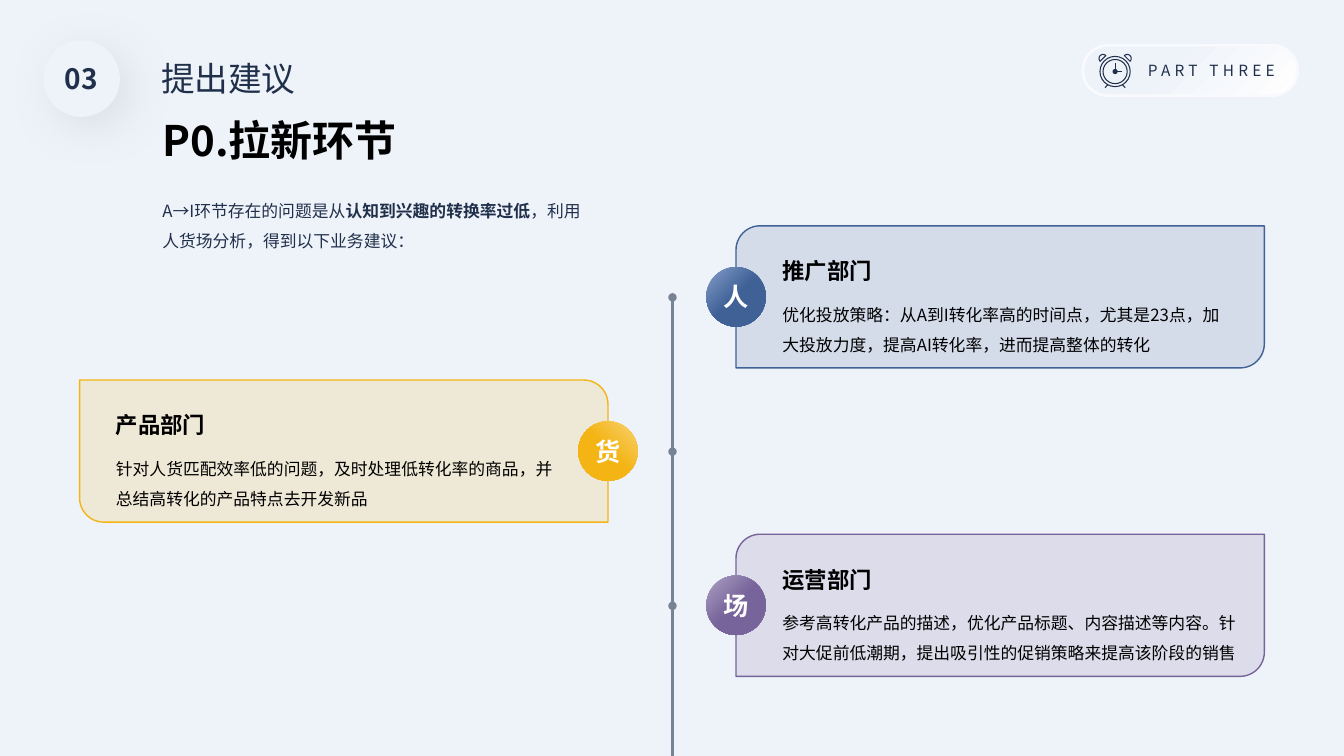
import math

import pptx
import pptx.dml.color
import pptx.enum.shapes
import pptx.enum.text
import pptx.oxml
import pptx.oxml.ns
import pptx.util
from pptx.util import Inches

COLORS = {
    "page": "EEF2F9", "ink": "20304B", "black": "000000", "white": "FFFFFF",
    "pill_edge": "F8FAFD", "shadow": "CACED4", "axis": "768394",
    "blue": "406196", "light_blue": "839ECA",
    "gold": "F4B414", "light_gold": "F8D272",
    "purple": "77649B", "light_purple": "ADA2C3",
}
RGB = {name: pptx.dml.color.RGBColor.from_string(value) for name, value in COLORS.items()}
FONT = "Noto Sans CJK SC"
NAMESPACE = pptx.oxml.ns.nsdecls("a")
SHAPE = pptx.enum.shapes.MSO_SHAPE
STRAIGHT = pptx.enum.shapes.MSO_CONNECTOR.STRAIGHT
ALIGN = pptx.enum.text.PP_ALIGN
ANCHOR = pptx.enum.text.MSO_ANCHOR
GROW = pptx.enum.text.MSO_AUTO_SIZE.SHAPE_TO_FIT_TEXT

deck = pptx.Presentation()
deck.slide_width, deck.slide_height = Inches(13.33), Inches(7.5)
page = deck.slides.add_slide(deck.slide_layouts[6])
page.background.fill.solid()
page.background.fill.fore_color.rgb = RGB["page"]


def write(box, spans, size, color, inset=(0.12, 0.12), align=ALIGN.LEFT,
          spacing=1.0, tracking=0, **frame_format):
    """Fill a box with one paragraph of (text, bold) spans."""
    frame = box.text_frame
    frame_format = {
        "word_wrap": True, "vertical_anchor": ANCHOR.TOP,
        "margin_left": Inches(inset[0]), "margin_right": Inches(inset[0]),
        "margin_top": Inches(inset[1]), "margin_bottom": Inches(inset[1]),
    } | frame_format
    for name, value in frame_format.items():
        setattr(frame, name, value)
    para = frame.paragraphs[0]
    para.alignment, para.line_spacing = align, spacing
    for text, bold in spans:
        span = para.add_run()
        span.text = text
        span.font.color.rgb = RGB[color]
        for name, value in {"name": FONT, "size": pptx.util.Pt(size), "bold": bold}.items():
            setattr(span.font, name, value)
        properties = span.font._element
        properties.append(pptx.oxml.parse_xml(f'<a:ea {NAMESPACE} typeface="{FONT}"/>'))
        if tracking:
            properties.set("spc", str(tracking * 100))


def draw_line(start, end, color, width):
    """Add a straight line between two points given in inches."""
    line = page.shapes.add_connector(STRAIGHT, *map(Inches, start + end))
    line.line.color.rgb = RGB[color]
    line.line.width = pptx.util.Pt(width)
    line._element.spPr.append(pptx.oxml.parse_xml(f"<a:effectLst {NAMESPACE}/>"))
    return line


# Part label at the top right
pill = page.shapes.add_shape(SHAPE.ROUNDED_RECTANGLE, Inches(10.74), Inches(0.45), Inches(2.13), Inches(0.5))
pill.shadow.inherit = False
pill.adjustments[0] = 0.5
pill.fill.gradient()
pill.fill.gradient_angle = 315
for stop, (color, position) in zip(pill.fill.gradient_stops, [("page", 0.35), ("white", 1)]):
    stop.color.rgb, stop.position = RGB[color], position
pill.line.color.rgb = RGB["pill_edge"]
pill.line.width = pptx.util.Pt(2)
label = page.shapes.add_textbox(Inches(11.22), Inches(0.56), Inches(1.59), Inches(0.29))
write(label, [("PART THREE", False)], 11, "ink", inset=(0.1, 0.05), align=ALIGN.CENTER,
      tracking=3, auto_size=GROW)

# Alarm clock: rings and hub, hands and legs, bells
clock_x, clock_y = 11.06, 0.71
for radius, filled in [(0.15, False), (0.12, False), (0.02, True)]:
    ring = page.shapes.add_shape(SHAPE.OVAL, Inches(clock_x - radius), Inches(clock_y - radius),
                                 Inches(2 * radius), Inches(2 * radius))
    ring.shadow.inherit = False
    ring.fill.background()
    if filled:
        ring.fill.solid()
        ring.fill.fore_color.rgb = RGB["ink"]
    ring.line.color.rgb = RGB["ink"]
    ring.line.width = pptx.util.Pt(0.75)
for x1, y1, x2, y2 in [(0, -0.08, 0, 0), (0, 0, 0.07, 0), (-0.07, 0.13, -0.1, 0.16), (0.07, 0.13, 0.1, 0.16)]:
    draw_line((clock_x + x1, clock_y + y1), (clock_x + x2, clock_y + y2), "ink", 0.75)
for side, first_angle in [(-1, 135), (1, 225)]:
    angles = [math.radians(first_angle + step) for step in range(0, 181, 15)]
    points = [(Inches(clock_x + side * 0.12 + 0.04 * math.cos(angle)),
               Inches(clock_y - 0.13 + 0.04 * math.sin(angle))) for angle in angles]
    outline = page.shapes.build_freeform(*points[0], scale=1.0)
    outline.add_line_segments(points[1:], close=True)
    bell = outline.convert_to_shape()
    bell.shadow.inherit = False
    bell.fill.background()
    bell.line.color.rgb = RGB["ink"]
    bell.line.width = pptx.util.Pt(0.75)

# Section number and headings
disc = page.shapes.add_shape(SHAPE.OVAL, Inches(0.43), Inches(0.4), Inches(0.76), Inches(0.76))
disc.shadow.inherit = False
disc.fill.solid()
disc.fill.fore_color.rgb = RGB["page"]
disc.line.fill.background()
disc._element.spPr.find(pptx.oxml.ns.qn("a:effectLst")).append(pptx.oxml.parse_xml(
    f'<a:outerShdw {NAMESPACE} blurRad="381000" dist="127000" dir="2700000" algn="tl" rotWithShape="0">'
    f'<a:srgbClr val="{COLORS["shadow"]}"><a:alpha val="50000"/></a:srgbClr></a:outerShdw>'))
number = page.shapes.add_textbox(Inches(0.63), Inches(0.56), Inches(0.35), Inches(0.44))
write(number, [("03", True)], 20, "ink", inset=(0, 0.05), align=ALIGN.CENTER,
      word_wrap=False, auto_size=GROW)
section = page.shapes.add_textbox(Inches(1.5), Inches(0.53), Inches(4.47), Inches(0.5))
write(section, [("提出建议", False)], 24, "ink", inset=(0.1, 0.05), auto_size=GROW)
title = page.shapes.add_textbox(Inches(1.49), Inches(1.02), Inches(4.55), Inches(0.74))
write(title, [("P0.拉新环节", True)], 30, "black", vertical_anchor=ANCHOR.BOTTOM, auto_size=GROW)
intro = page.shapes.add_textbox(Inches(1.49), Inches(1.77), Inches(4.55), Inches(0.81))
write(intro, [("A→I环节存在的问题是从", False), ("认知到兴趣的转换率过低", True),
              ("，利用人货场分析，得到以下业务建议：", False)], 12, "ink", spacing=1.5, auto_size=GROW)

# Department cards along the time axis
card_width, card_height, badge_size, axis_x = 5.24, 1.41, 0.59, 6.67
cards = [
    ("人", "blue", "推广部门", 4.67,
     "优化投放策略：从A到I转化率高的时间点，尤其是23点，加大投放力度，提高AI转化率，进而提高整体的转化"),
    ("货", "gold", "产品部门", 4.67,
     "针对人货匹配效率低的问题，及时处理低转化率的商品，并总结高转化的产品特点去开发新品"),
    ("场", "purple", "运营部门", 4.76,
     "参考高转化产品的描述，优化产品标题、内容描述等内容。针对大促前低潮期，提出吸引性的促销策略来提高该阶段的销售"),
]
for index, (mark, color, department, body_width, advice) in enumerate(cards):
    on_left = index % 2 == 1
    top = 2.24 + 1.53 * index
    left = 0.79 if on_left else 7.3
    text_left = left + (0.24 if on_left else 0.34)
    badge_x = left + card_width if on_left else left

    card = page.shapes.add_shape(SHAPE.ROUND_2_DIAG_RECTANGLE, Inches(left), Inches(top),
                                 Inches(card_width), Inches(card_height))
    card.shadow.inherit = False
    card.adjustments[0], card.adjustments[1] = (0, 0.17) if on_left else (0.17, 0)
    card.fill.solid()
    card.fill.fore_color.rgb = RGB[color]
    tint = card._element.spPr.find(pptx.oxml.ns.qn("a:solidFill"))[0]
    tint.append(pptx.oxml.parse_xml(f'<a:alpha {NAMESPACE} val="15000"/>'))
    card.line.color.rgb = RGB[color]
    card.line.width = pptx.util.Pt(1)

    heading = page.shapes.add_textbox(Inches(text_left), Inches(top + 0.19), Inches(4.67), Inches(0.51))
    write(heading, [(department, True)], 16, "black", vertical_anchor=ANCHOR.BOTTOM, auto_size=GROW)
    body = page.shapes.add_textbox(Inches(text_left), Inches(top + 0.56), Inches(body_width), Inches(0.81))
    write(body, [(advice, False)], 12, "black", spacing=1.5, auto_size=GROW)

    badge = page.shapes.add_shape(SHAPE.OVAL, Inches(badge_x - badge_size / 2), Inches(top + 0.41),
                                  Inches(badge_size), Inches(badge_size))
    badge.shadow.inherit = False
    badge.fill.gradient()
    badge.fill.gradient_angle = 225 if on_left else 315
    for stop, (shade, position) in zip(badge.fill.gradient_stops, [("light_" + color, 0), (color, 0.5)]):
        stop.color.rgb, stop.position = RGB[shade], position
    badge.line.fill.background()
    write(badge, [(mark, True)], 18, "white", align=ALIGN.CENTER, word_wrap=False,
          vertical_anchor=ANCHOR.MIDDLE)

    axis_end = 7.5 if index == len(cards) - 1 else top + 2.2
    axis = draw_line((axis_x, top + 0.71), (axis_x, axis_end), "axis", 2)
    axis.line._ln.append(pptx.oxml.parse_xml(f'<a:headEnd {NAMESPACE} type="oval"/>'))

deck.save("out.pptx")
